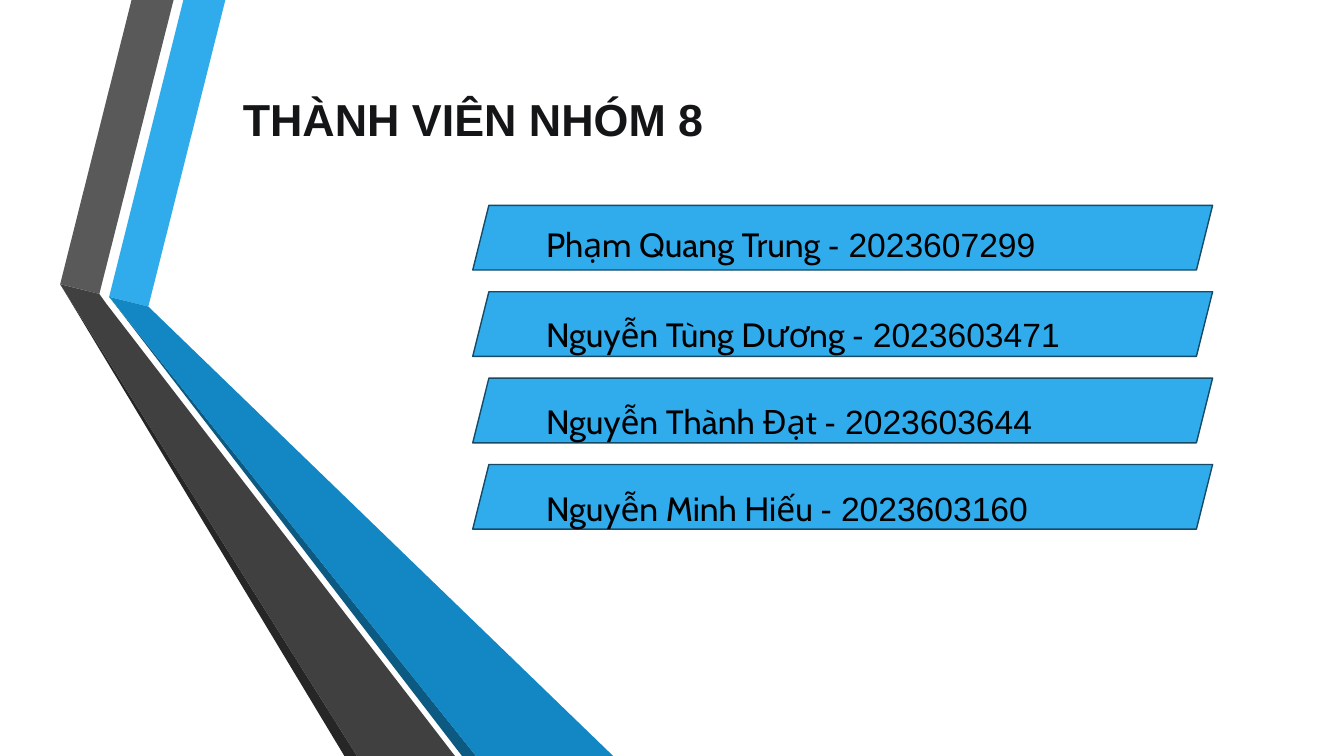
from pptx import Presentation
from pptx.dml.color import RGBColor
from pptx.enum.shapes import MSO_SHAPE
from pptx.enum.text import MSO_ANCHOR, PP_ALIGN
from pptx.util import Pt

PARALLELOGRAM = MSO_SHAPE.PARALLELOGRAM
TOP = MSO_ANCHOR.TOP
CENTER, JUSTIFY = PP_ALIGN.CENTER, PP_ALIGN.JUSTIFY

THEME = {
    "sky": "30ACEC", "blue": "1287C3", "navy": "0C5A82", "outline": "154B67",
    "gray": "595959", "charcoal": "404040", "black": "262626",
    "title": "141516", "text": "000000",
    "title_size": 32, "member_size": 24,
    "name_font": "Cabin", "plain_font": "Arial",
}

TITLE = "THÀNH VIÊN NHÓM 8"
MEMBERS = [
    ("Phạm Quang Trung ", "- 2023607299", 5),
    ("Nguyễn Tùng Dương ", "- 2023603471", 2),
    ("Nguyễn Thành Đạt ", "- 2023603644", 2),
    ("Nguyễn Minh Hiếu ", "- 2023603160", 1.5),
]

PAGE_WIDTH, PAGE_HEIGHT = 960, 540
GRAY_BEND, GRAY_INNER = (43.2, 203.2), (71.2, 210)
BLUE_BEND, BLUE_INNER = (77.8, 211.8), (106, 218.7)
GRAY_FOOT, BLUE_FOOT = (254.9, PAGE_HEIGHT), (340.4, PAGE_HEIGHT)
RIBBONS = [
    ("sky", [BLUE_BEND, BLUE_INNER, (161.2, 0), (131, 0)]),
    ("gray", [GRAY_INNER, (124.4, 0), (94.2, 0), GRAY_BEND]),
    ("black", [GRAY_BEND, (245.5, PAGE_HEIGHT), GRAY_FOOT]),
    ("navy", [BLUE_BEND, (330.5, PAGE_HEIGHT), BLUE_FOOT]),
    ("blue", [BLUE_BEND, BLUE_FOOT, (437.8, PAGE_HEIGHT), BLUE_INNER]),
    ("charcoal", [GRAY_BEND, GRAY_FOOT, (325.4, PAGE_HEIGHT), (76.3, 216.7), GRAY_INNER]),
]

BAR_LEFT, BAR_TOP, BAR_WIDTH, BAR_HEIGHT = 337.7, 146.7, 528.5, 46.2
BAR_PITCH = 61.7
MEMBER_LEFT, MEMBER_WIDTH = 383, 471


def color(name):
    return RGBColor.from_string(THEME[name])


def paint(shape, fill, line=None):
    shape.shadow.inherit = False
    shape.fill.solid()
    shape.fill.fore_color.rgb = color(fill)
    if line:
        shape.line.color.rgb = color(line)
        shape.line.width = Pt(1)
    else:
        shape.line.fill.background()


def add_text(page, left, top, width, height, spans, *, size, ink,
             bold=False, align=JUSTIFY, spacing=1.0):
    box = page.shapes.add_textbox(Pt(left), Pt(top), Pt(width), Pt(height))
    frame = box.text_frame
    frame.word_wrap = True
    frame.vertical_anchor = TOP
    para = frame.paragraphs[0]
    para.alignment = align
    para.line_spacing = spacing
    for text, font in spans:
        span = para.add_run()
        span.text = text
        span.font.name = THEME[font]
        span.font.size = Pt(THEME[size])
        span.font.bold = bold
        span.font.color.rgb = color(ink)


def add_ribbon(page, fill, points):
    builder = page.shapes.build_freeform(*points[0], scale=Pt(1))
    builder.add_line_segments(points[1:], close=True)
    paint(builder.convert_to_shape(), fill)


def main():
    deck = Presentation()
    deck.slide_width, deck.slide_height = Pt(PAGE_WIDTH), Pt(PAGE_HEIGHT)
    page = deck.slides.add_slide(deck.slide_layouts[6])

    for fill, points in RIBBONS:
        add_ribbon(page, fill, points)

    add_text(page, 160.6, 62, 355, 46, [(TITLE, "plain_font")],
             size="title_size", ink="title", bold=True, align=CENTER)

    for index, (name, number, lift) in enumerate(MEMBERS):
        top = BAR_TOP + index * BAR_PITCH
        bar = page.shapes.add_shape(PARALLELOGRAM, Pt(BAR_LEFT), Pt(top),
                                    Pt(BAR_WIDTH), Pt(BAR_HEIGHT))
        paint(bar, "sky", "outline")
        add_text(page, MEMBER_LEFT, top - lift, MEMBER_WIDTH, BAR_HEIGHT,
                 [(name, "name_font"), (number, "plain_font")],
                 size="member_size", ink="text", spacing=1.5)

    deck.save("out.pptx")


if __name__ == "__main__":
    main()
